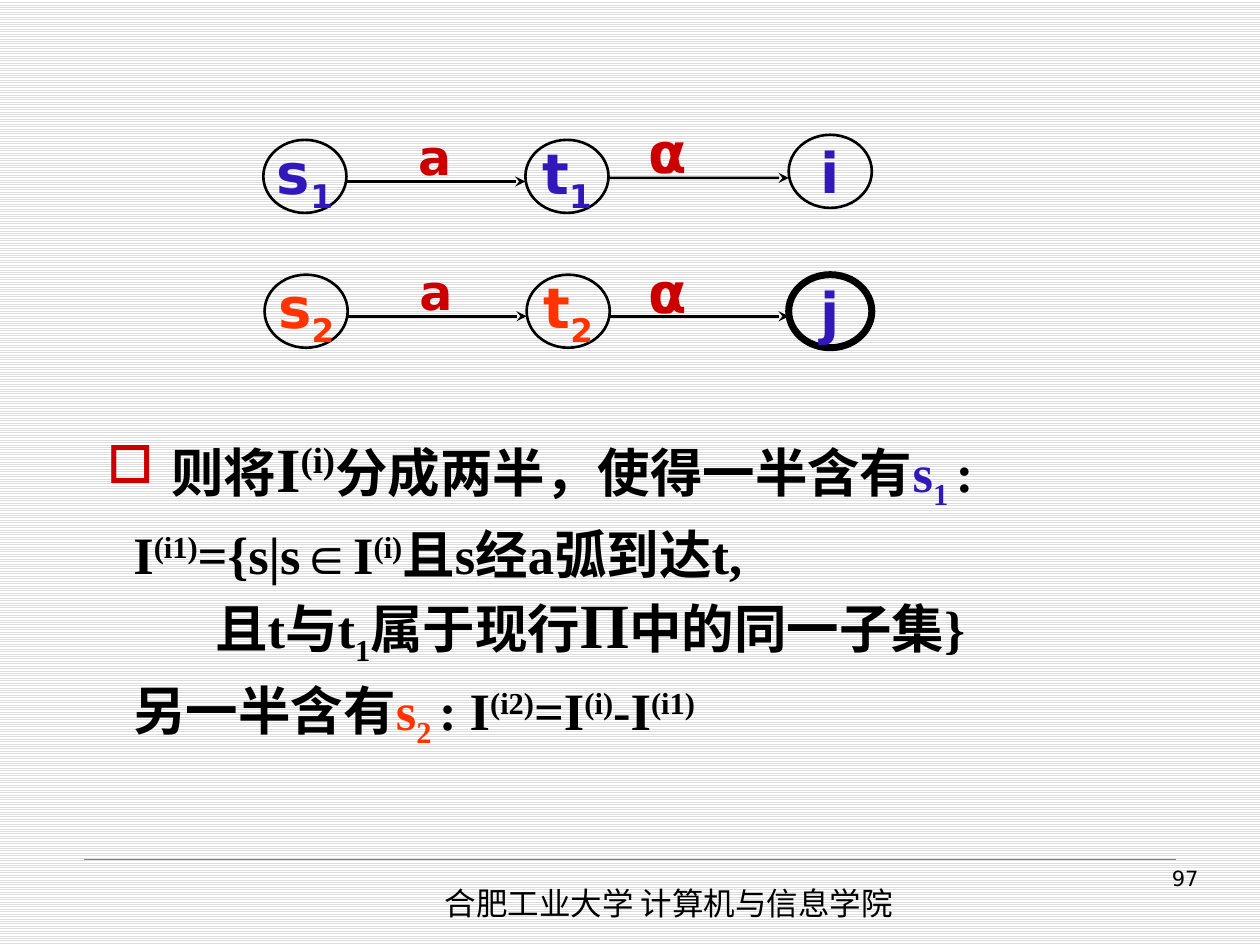
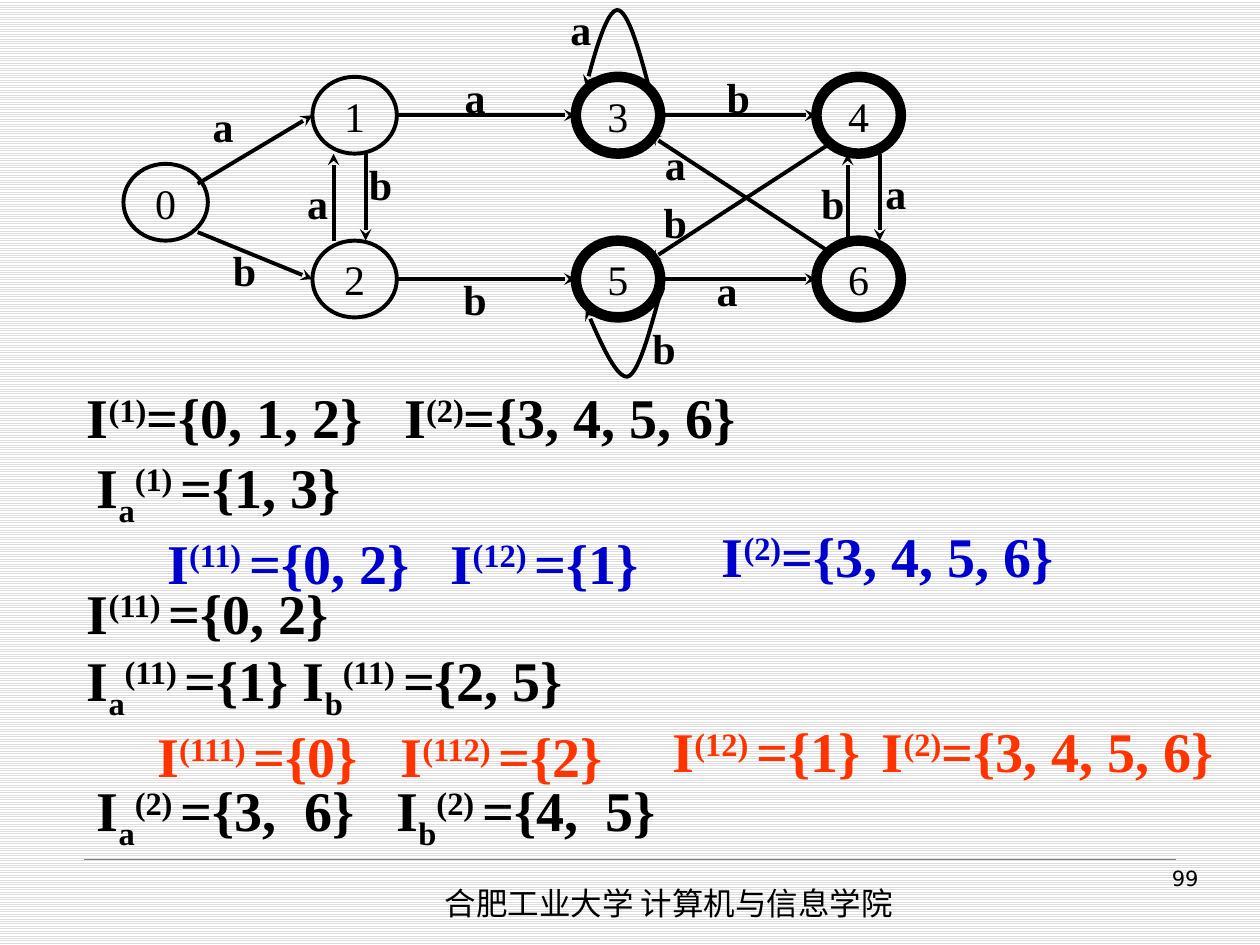
"""Build two slides on splitting the state sets of a finite automaton."""
import lxml.etree
import pptx
import pptx.dml.color
import pptx.enum.dml
import pptx.enum.shapes
import pptx.enum.text
import pptx.oxml.ns
import pptx.util

THEME = {
    "black": "000000", "red": "CC0000", "violet": "3217BB", "blue": "0000CC",
    "orange": "FF3300", "grey": "808080", "stripe": "DDDDDD", "white": "FFFFFF",
    "serif": "Times New Roman", "sans": "DejaVu Sans", "asian": "Noto Sans CJK SC",
    "foot": 18, "page": 12, "body": 30, "big": 36, "sets": 32,
}
SHIFTS = {"^": "30000", "_": "-25000"}
LEFT, RIGHT, MID = (pptx.enum.text.PP_ALIGN.LEFT, pptx.enum.text.PP_ALIGN.RIGHT,
                    pptx.enum.text.PP_ALIGN.CENTER)
FOOTER = "合肥工业大学 计算机与信息学院"

# In marked text "~" parts runs, and a run that opens with "^" or "_" is raised or lowered.
COLS, ROWS = (2.09, 4.17, 6.26), (1.11, 2.18)
SPLIT = {
    "size": (0.66, 0.58), "mark": (0.92, 0.58), "font": "sans", "bold": True,
    "type": 32, "letter": 28, "ink": "red", "line": 1.5,
    "nodes": {
        "s~_1": (COLS[0], ROWS[0], 1.5, "violet"),
        "t~_1": (COLS[1], ROWS[0], 1.5, "violet"),
        "i": (COLS[2], 1.07, 1.5, "violet"),
        "s~_2": (COLS[0] + 0.01, ROWS[1], 1.5, "orange"),
        "t~_2": (COLS[1] + 0.01, ROWS[1], 1.5, "orange"),
        "j": (COLS[2], ROWS[1], 4, "violet"),
    },
    "edges": [
        ("s~_1", 1, 0.57, "t~_1", 0, 0.57), ("t~_1", 1, 0.52, "i", 0, 0.59),
        ("s~_2", 1, 0.57, "t~_2", 0, 0.57), ("t~_2", 1, 0.57, "j", 0, 0.57),
    ],
    "marks": [("a", 2.99, 0.95, 28), ("a", 3, 2.02, 28),
              ("α", 4.84, 0.91, 32), ("α", 4.84, 2.02, 32)],
    "loops": [],
}
TOP, LOW = 0.61, 1.91
STATES = {
    "size": (0.67, 0.61), "mark": (0.58, 0.46), "font": "serif", "bold": False,
    "type": 24, "ink": "black", "line": 2.25,
    "nodes": {
        "0": (0.98, 1.3, 2.25, "black"),
        "1": (2.48, TOP, 2.25, "black"), "2": (2.48, LOW, 2.25, "black"),
        "3": (4.57, TOP, 6, "black"), "5": (4.57, LOW, 6, "black"),
        "4": (6.48, TOP, 6, "black"), "6": (6.48, LOW, 6, "black"),
    },
    "edges": [
        ("0", 0.88, 0.26, "1", 0, 0.5), ("0", 0.88, 0.89, "2", 0, 0.5),
        ("1", 1, 0.5, "3", 0, 0.5), ("3", 1, 0.5, "4", 0, 0.5),
        ("2", 1, 0.5, "5", 0, 0.5), ("5", 1, 0.5, "6", 0, 0.5),
        ("1", 0.63, 1, "2", 0.63, 0), ("2", 0.25, 0, "1", 0.25, 1),
        ("6", 0.37, 0, "4", 0.37, 1), ("4", 0.75, 1, "6", 0.75, 0),
        ("4", 0.13, 0.89, "5", 0.87, 0.26), ("6", 0.13, 0.13, "3", 0.87, 0.75),
    ],
    "marks": [(sign, x, y, 24) for sign, x, y in (
        ("a", 1.48, 0.77), ("a", 3.48, 0.54), ("b", 5.57, 0.54), ("b", 1.65, 1.91),
        ("b", 3.48, 2.14), ("a", 5.48, 2.07), ("b", 2.73, 1.23), ("a", 2.23, 1.38),
        ("a", 6.82, 1.3), ("b", 6.32, 1.38), ("a", 5.07, 1.07), ("b", 5.07, 1.53),
        ("a", 4.32, 0), ("b", 4.98, 2.53))],
    "loops": [
        [(5.15, 0.69), (5.07, 0.38), (4.98, 0.08), (4.9, 0.08),
         (4.82, 0.08), (4.73, 0.38), (4.65, 0.69)],
        [(5.23, 2.3), (5.26, 2.28), (5.28, 2.26), (5.23, 2.37), (5.19, 2.49),
         (5.08, 2.97), (4.98, 2.99), (4.89, 3), (4.77, 2.73), (4.65, 2.45)],
    ],
}
PROOF = [
    {"left": 0.51, "hang": -0.51, "bullet": "□", "runs": [
        ("则将", "black", "body"), ("I~^(i)", "black", "big"),
        ("分成两半，使得一半含有", "black", "body"), ("s~_1 ", "violet", "body"),
        (":", "black", "body")]},
    {"left": 0.21, "before": 6, "runs": [
        ("I~^(i1)~={s|s∈I~^(i)~且s经a弧到达t,", "black", "body")]},
    {"left": 0.86, "runs": [
        ("且t与t~_1~属于现行", "black", "body"), ("Π", "black", "big"),
        ("中的同一子集}", "black", "body")]},
    {"left": 0.21, "before": 6, "runs": [
        ("另一半含有", "black", "body"), ("s~_2 ", "orange", "body"),
        (": I~^(i2)~=I~^(i)~-I~^(i1)", "black", "body")]},
]
SETS = [
    (0.59, 2.99, 5.75, 0.63, [("I~^(1)~={0, 1, 2}\tI~^(2)~={3, 4, 5, 6}", "black", [2.52])]),
    (0.67, 3.54, 8.6, 1.17, [
        ("I~_a~^(1) ~={1, 3}", "black", []),
        ("\tI~^(11) ~={0, 2}\tI~^(12) ~={1}", "blue", [0.56, 2.81])]),
    (5.63, 4.09, 3.07, 0.63, [("I~^(2)~={3, 4, 5, 6}", "blue", [])]),
    (0.59, 4.54, 8.6, 1.7, [
        ("I~^(11) ~={0, 2}", "black", []),
        ("I~_a~^(11) ~={1} I~_b~^(11) ~={2, 5}", "black", []),
        ("\tI~^(111) ~={0}\tI~^(112) ~={2}", "orange", [0.56, 2.49])]),
    (5.24, 5.64, 4.57, 0.63, [("I~^(12) ~={1}\tI~^(2)~={3, 4, 5, 6}", "orange", [1.66])]),
    (0.67, 6.11, 6.3, 0.63, [
        ("I~_a~^(2) ~={3,\t6}\tI~_b~^(2) ~={4,\t5}", "black", [1.65, 2.38, 4.04])]),
]


def inch(*sizes):
    return [pptx.util.Inches(size) for size in sizes]


def hue(name):
    return pptx.dml.color.RGBColor.from_string(THEME[name])


def add(parent, tag, **traits):
    child = lxml.etree.SubElement(parent, pptx.oxml.ns.qn(tag))
    for key, value in traits.items():
        child.set(key, str(value))
    return child


def write(para, text, ink, size, font="serif", bold=True):
    for piece in text.split("~"):
        shift = SHIFTS.get(piece[0])
        run = para.add_run()
        run.text = piece[1:] if shift else piece
        run.font.size = pptx.util.Pt(size)
        run.font.bold = bold
        run.font.name = THEME[font]
        run.font.color.rgb = hue(ink)
        props = run._r.get_or_add_rPr()
        add(props, "a:ea", typeface=THEME["asian"])
        if shift:
            props.set("baseline", shift)


def add_box(page, *place):
    frame = page.shapes.add_textbox(*inch(*place)).text_frame
    frame.word_wrap = True
    return frame


def label(frame, text, ink, size, font, bold=True):
    frame.word_wrap = False
    frame.vertical_anchor = pptx.enum.text.MSO_ANCHOR.MIDDLE
    para = frame.paragraphs[0]
    para.alignment = MID
    write(para, text, ink, size, font, bold)


def rule(page, start, end, ink, width, arrow=False):
    line = page.shapes.add_connector(
        pptx.enum.shapes.MSO_CONNECTOR.STRAIGHT, *inch(*start, *end))
    style(line, ink, width, arrow)


def style(shape, ink, width, arrow=False):
    shape.line.color.rgb = hue(ink)
    shape.line.width = pptx.util.Pt(width)
    if arrow:
        add(shape.line._get_or_add_ln(), "a:tailEnd", type="stealth")
    if not shape._element.spPr.findall(pptx.oxml.ns.qn("a:effectLst")):
        add(shape._element.spPr, "a:effectLst")


def curve(knots, steps=16):
    points = [knots[0]]
    for first in range(0, len(knots) - 1, 3):
        a, b, c, d = knots[first:first + 4]
        for step in range(1, steps + 1):
            t = step / steps
            u = 1 - t
            points.append(tuple(
                u ** 3 * a[k] + 3 * u * u * t * b[k] + 3 * u * t * t * c[k] + t ** 3 * d[k]
                for k in (0, 1)))
    return [tuple(inch(*point)) for point in points]


def draw_graph(page, graph):
    wide, high = graph["size"]

    def port(name, across, down):
        x, y = graph["nodes"][name][:2]
        return x + across * wide, y + down * high

    for name, (x, y, width, ink) in graph["nodes"].items():
        node = page.shapes.add_shape(
            pptx.enum.shapes.MSO_SHAPE.OVAL, *inch(x, y, wide, high))
        node.shadow.inherit = False
        node.fill.background()
        style(node, "black", width)
        label(node.text_frame, name, ink, graph["type"], graph["font"], graph["bold"])
    for edge in graph["edges"]:
        rule(page, port(*edge[:3]), port(*edge[3:]), "black", graph["line"], True)
    for knots in graph["loops"]:
        points = curve(knots)
        path = page.shapes.build_freeform(*points[0])
        path.add_line_segments(points[1:], close=False)
        loop = path.convert_to_shape()
        loop.shadow.inherit = False
        loop.fill.background()
        style(loop, "black", graph["line"], True)
    for sign, x, y, size in graph["marks"]:
        frame = add_box(page, x, y, *graph["mark"])
        label(frame, sign, graph["ink"], size, graph["font"])


def draw_proof(page):
    frame = add_box(page, 0.75, 3.36, 8.75, 2.69)
    for count, item in enumerate(PROOF):
        para = frame.add_paragraph() if count else frame.paragraphs[0]
        props = para._p.get_or_add_pPr()
        props.set("marL", str(inch(item["left"])[0]))
        props.set("indent", str(inch(item.get("hang", 0))[0]))
        if "before" in item:
            para.space_before = pptx.util.Pt(item["before"])
        if "bullet" in item:
            add(add(props, "a:buClr"), "a:srgbClr", val=THEME["red"])
            add(props, "a:buChar", char=item["bullet"])
        for text, ink, size in item["runs"]:
            write(para, text, ink, THEME[size])


def draw_sets(page):
    for *place, lines in SETS:
        frame = add_box(page, *place)
        for count, (text, ink, stops) in enumerate(lines):
            para = frame.add_paragraph() if count else frame.paragraphs[0]
            if stops:
                tabs = add(para._p.get_or_add_pPr(), "a:tabLst")
                for stop in inch(*stops):
                    add(tabs, "a:tab", pos=stop, algn="l")
            write(para, text, ink, THEME["sets"])


def add_page(deck, number):
    page = deck.slides.add_slide(deck.slide_layouts[6])
    fill = page.background.fill
    fill.patterned()
    fill.pattern = pptx.enum.dml.MSO_PATTERN.LIGHT_HORIZONTAL
    fill.fore_color.rgb = hue("stripe")
    fill.back_color.rgb = hue("white")
    rule(page, (0.67, 6.82), (9.33, 6.82), "grey", 0.25)
    for place, text, size, font, side in (
            ((3.43, 6.97, 4.72, 0.4), FOOTER, "foot", "asian", LEFT),
            ((7.44, 6.82, 2.17, 0.52), number, "page", "sans", RIGHT)):
        para = add_box(page, *place).paragraphs[0]
        para.alignment = side
        write(para, text, "black", THEME[size], font, False)
    return page


def main():
    deck = pptx.Presentation()
    deck.slide_width, deck.slide_height = inch(10, 7.5)
    page = add_page(deck, "97")
    draw_proof(page)
    draw_graph(page, SPLIT)
    page = add_page(deck, "99")
    draw_graph(page, STATES)
    draw_sets(page)
    deck.save("out.pptx")


if __name__ == "__main__":
    main()
